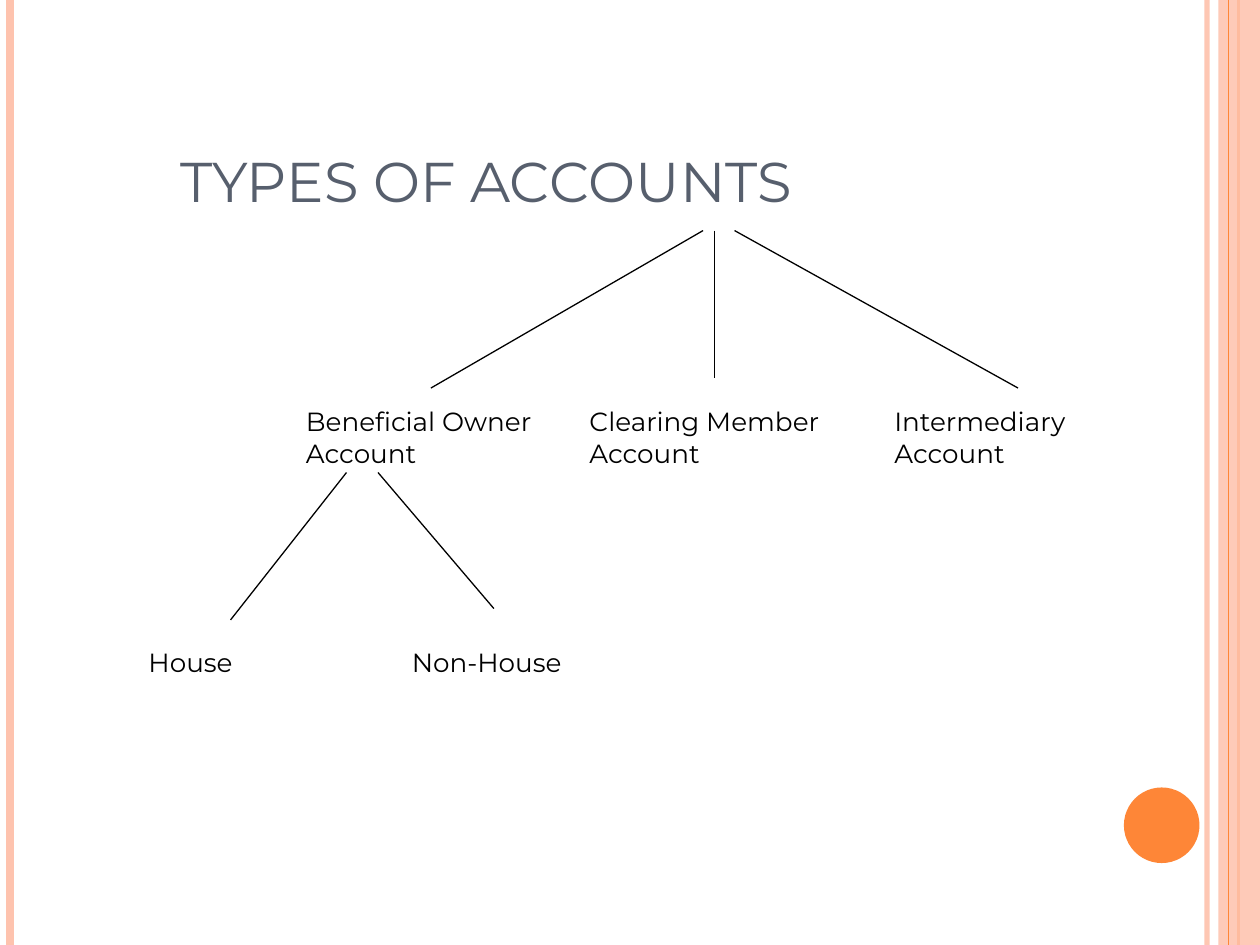
import pptx
import pptx.util
import pptx.dml.color
import pptx.enum.shapes
import pptx.enum.text
import pptx.oxml.ns
import lxml.etree
from dataclasses import dataclass

Inches, Pt = pptx.util.Inches, pptx.util.Pt
Shape = pptx.enum.shapes.MSO_SHAPE
Anchor = pptx.enum.text.MSO_ANCHOR
Align = pptx.enum.text.PP_ALIGN
qn = pptx.oxml.ns.qn


@dataclass(frozen=True)
class Theme:
    font: str = "Montserrat"
    head: str = "575F6D"
    ink: str = "000000"
    peach: str = "FEC3AE"
    orange: str = "FE8637"
    head_size: int = 32
    size: int = 15


theme = Theme()
wide, high = 10, 7.5


def rule(x1, y1, x2, y2, color, width, alpha=100):
    """Draw a straight line; alpha is its opacity in percent."""
    line = slide.shapes.add_connector(
        pptx.enum.shapes.MSO_CONNECTOR.STRAIGHT,
        Inches(x1), Inches(y1), Inches(x2), Inches(y2))
    line.line.color.rgb = pptx.dml.color.RGBColor.from_string(color)
    line.line.width = Pt(width)
    props = line._element.spPr
    lxml.etree.SubElement(props, qn("a:effectLst"))
    fade(props, alpha)


def fade(props, alpha):
    """Set the opacity of the first colour in the shape properties."""
    if alpha < 100:
        tint = next(props.iter(qn("a:srgbClr")))
        lxml.etree.SubElement(tint, qn("a:alpha")).set("val", str(alpha * 1000))


deck = pptx.Presentation()
deck.slide_width, deck.slide_height = Inches(wide), Inches(high)
slide = deck.slides.add_slide(deck.slide_layouts[5])

# Side rules, right band and disc
for x, color, width, alpha in [
    (9.58, theme.peach, 3, 93),
    (0.08, theme.peach, 4.5, 100),
    (9.83, theme.orange, 1.5, 100),
]:
    rule(x, 0, x, high, color, width, alpha)

for kind, x, y, w, h, color, alpha in [
    (Shape.RECTANGLE, 9.67, 0, 0.33, high, theme.peach, 87),
    (Shape.OVAL, 8.92, 6.25, 0.6, 0.6, theme.orange, 100),
]:
    shape = slide.shapes.add_shape(
        kind, Inches(x), Inches(y), Inches(w), Inches(h))
    shape.shadow.inherit = False
    shape.fill.solid()
    shape.fill.fore_color.rgb = pptx.dml.color.RGBColor.from_string(color)
    shape.line.fill.background()
    fade(shape._element.spPr, alpha)

rule(9.75, 0, 9.75, high, theme.orange, 0.75)

# Title
title = slide.shapes.title
title.left, title.top = Inches(1.33), Inches(0.92)
title.width, title.height = Inches(8.5), Inches(0.83)
frame = title.text_frame
frame.word_wrap = True
frame.auto_size = pptx.enum.text.MSO_AUTO_SIZE.NONE
frame.vertical_anchor = Anchor.BOTTOM
para = frame.paragraphs[0]
para.alignment = Align.LEFT
run = para.add_run()
run.text = "TYPES OF ACCOUNTS"
run.font.name, run.font.size = theme.font, Pt(theme.head_size)
run.font.color.rgb = pptx.dml.color.RGBColor.from_string(theme.head)

# Account names
for text, x, y, w, h in [
    ("Beneficial Owner Account", 2.33, 3.17, 2.25, 0.6),
    ("Clearing Member Account", 4.58, 3.17, 2.17, 0.6),
    ("Intermediary Account", 7, 3.17, 2.17, 0.6),
    ("House", 1.08, 5.08, 1.42, 0.35),
    ("Non-House", 3.17, 5.08, 1.58, 0.35),
]:
    box = slide.shapes.add_textbox(Inches(x), Inches(y), Inches(w), Inches(h))
    frame = box.text_frame
    frame.word_wrap = True
    frame.auto_size = pptx.enum.text.MSO_AUTO_SIZE.SHAPE_TO_FIT_TEXT
    para = frame.paragraphs[0]
    para.space_before = Pt(9.4)
    run = para.add_run()
    run.text = text
    run.font.name, run.font.size = theme.font, Pt(theme.size)
    run.font.color.rgb = pptx.dml.color.RGBColor.from_string(theme.ink)

# Branches of the tree
for x1, y1, x2, y2 in [
    (5.67, 1.83, 5.67, 3),
    (5.83, 1.83, 8.08, 3.08),
    (5.58, 1.83, 3.42, 3.08),
    (2.75, 3.75, 1.83, 4.92),
    (3, 3.75, 3.92, 4.83),
]:
    rule(x1, y1, x2, y2, theme.ink, 0.75)

deck.save("out.pptx")
